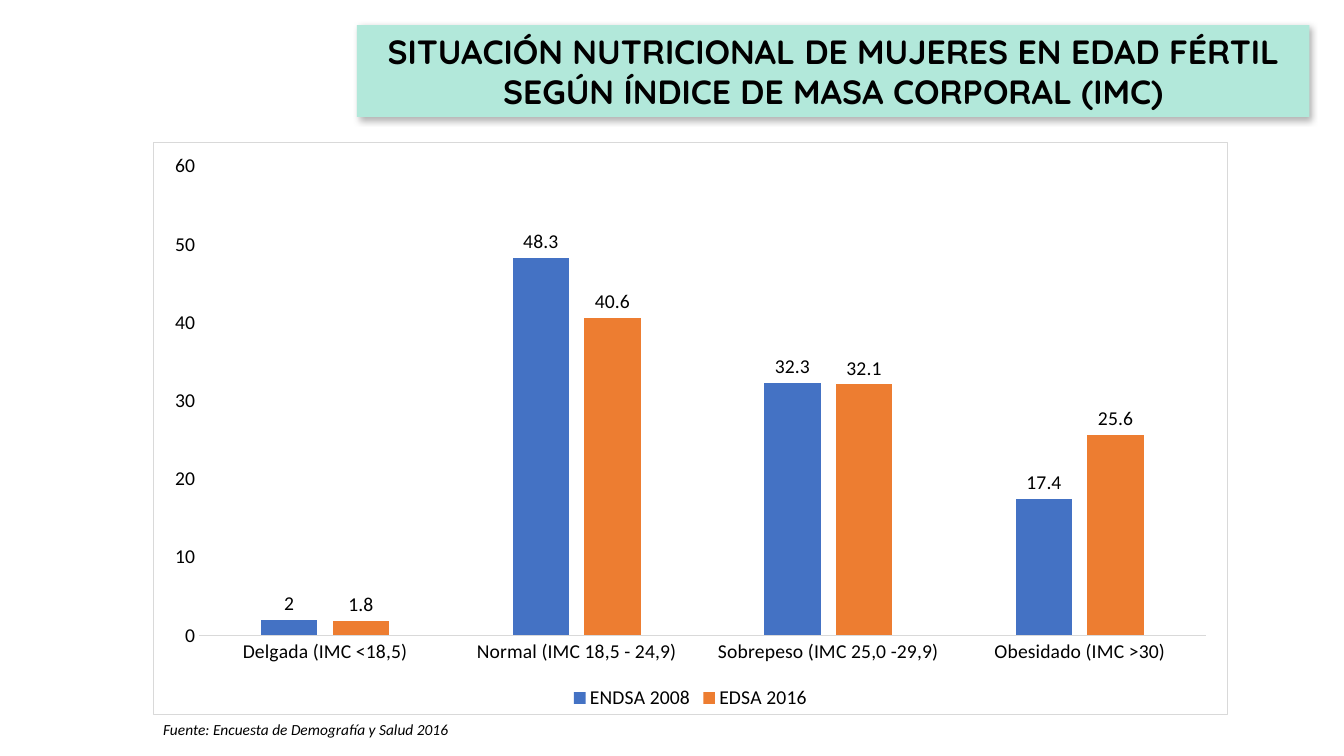
from lxml.etree import fromstring
from pptx import Presentation
from pptx.chart.data import CategoryChartData
from pptx.dml.color import RGBColor
from pptx.enum.chart import XL_CHART_TYPE, XL_LABEL_POSITION, XL_LEGEND_POSITION, XL_TICK_MARK
from pptx.enum.shapes import MSO_SHAPE
from pptx.enum.text import MSO_ANCHOR, PP_ALIGN
from pptx.oxml.ns import nsdecls
from pptx.util import Pt

# Content
TITLE = ["SITUACIÓN NUTRICIONAL DE MUJERES EN EDAD FÉRTIL",
         "SEGÚN ÍNDICE DE MASA CORPORAL (IMC)"]
SOURCE = ["Fuente: Encuesta de Demografía y Salud 2016"]
CATEGORIES = ["Delgada (IMC <18,5)", "Normal (IMC 18,5 - 24,9)",
              "Sobrepeso (IMC 25,0 -29,9)", "Obesidado (IMC >30)"]
SERIES = [("ENDSA 2008", "blue", [2, 48.3, 32.3, 17.4]),
          ("EDSA 2016", "orange", [1.8, 40.6, 32.1, 25.6])]
COLORS = {"mint": "B2E8DA", "blue": "4472C4", "orange": "ED7D31",
          "grey": "D9D9D9", "black": "000000", "white": "FFFFFF"}

# Layout in points: left, top, width, height
TITLE_AREA = (254.9, 18, 680.4, 65.5)
CHART_AREA = (109.4, 101.5, 767.5, 409)
SOURCE_AREA = (109.4, 510.5, 272.2, 20.9)


def color(name):
    return RGBColor.from_string(COLORS[name])


def solid(name):
    return f'<a:solidFill><a:srgbClr val="{COLORS[name]}"/></a:solidFill>'


def outline(name, extra=""):
    return f'<a:ln {extra} w="{Pt(0.75)}">{solid(name)}</a:ln>'


def write(shape, lines, *, size, font, bold=False, italic=False,
          align=PP_ALIGN.LEFT, anchor=MSO_ANCHOR.TOP, edge=None):
    frame = shape.text_frame
    frame.word_wrap = True
    frame.vertical_anchor = anchor
    for index, line in enumerate(lines):
        para = frame.add_paragraph() if index else frame.paragraphs[0]
        para.alignment = align
        span = para.add_run()
        span.text = line
        span.font.size, span.font.name = Pt(size), font
        span.font.bold, span.font.italic = bold, italic
        span.font.color.rgb = color("black")
        if edge:
            span.font._element.insert(0, fromstring(outline(edge, nsdecls("a"))))


deck = Presentation()
deck.slide_width, deck.slide_height = Pt(960), Pt(540)
page = deck.slides.add_slide(deck.slide_layouts[6])

# Title banner with soft shadow
banner = page.shapes.add_shape(MSO_SHAPE.RECTANGLE, *map(Pt, TITLE_AREA))
banner.fill.solid()
banner.fill.fore_color.rgb = color("mint")
banner.line.fill.background()
banner.shadow.inherit = False
banner._element.spPr.find("{*}effectLst").append(fromstring(
    f'<a:outerShdw {nsdecls("a")} blurRad="{Pt(4.5)}" dist="{Pt(2.6)}" '
    f'dir="{53 * 60000}" algn="tl" rotWithShape="0"><a:srgbClr val="{COLORS["black"]}">'
    '<a:alpha val="30000"/></a:srgbClr></a:outerShdw>'))
write(banner, TITLE, size=24, font="Quicksand", bold=True,
      align=PP_ALIGN.CENTER, anchor=MSO_ANCHOR.MIDDLE, edge="white")

# Source line
source_box = page.shapes.add_textbox(*map(Pt, SOURCE_AREA))
write(source_box, SOURCE, size=11, font="Calibri", italic=True)

# Column chart
data = CategoryChartData()
data.categories = CATEGORIES
for name, _, values in SERIES:
    data.add_series(name, values)
chart = page.shapes.add_chart(XL_CHART_TYPE.COLUMN_CLUSTERED,
                              *map(Pt, CHART_AREA), data).chart
chart.has_title = False
chart.font.size, chart.font.name = Pt(14), "Calibri"
chart.font.color.rgb = color("black")
chart.has_legend = True
chart.legend.position = XL_LEGEND_POSITION.BOTTOM
chart.legend.include_in_layout = False

# Chart background and border
chart._chartSpace.find("{*}txPr").addprevious(fromstring(
    f'<c:spPr {nsdecls("c", "a")}>{solid("white")}{outline("grey")}</c:spPr>'))

# Axes
for axis in (chart.category_axis, chart.value_axis):
    axis.major_tick_mark = axis.minor_tick_mark = XL_TICK_MARK.NONE
    axis.has_major_gridlines = False
chart.category_axis.format.line.color.rgb = color("grey")
chart.category_axis.format.line.width = Pt(0.75)
value_axis = chart.value_axis
value_axis.format.line.fill.background()
value_axis.minimum_scale, value_axis.maximum_scale, value_axis.major_unit = 0, 60, 10

# Columns and value labels
plot = chart.plots[0]
plot.gap_width, plot.overlap, plot.vary_by_categories = 219, -27, False
for series, (_, tint, _) in zip(plot.series, SERIES):
    series.format.fill.solid()
    series.format.fill.fore_color.rgb = color(tint)
    labels = series.data_labels
    labels.show_value = True
    labels.position = XL_LABEL_POSITION.OUTSIDE_END
    labels.font.size = Pt(14)

deck.save("out.pptx")
